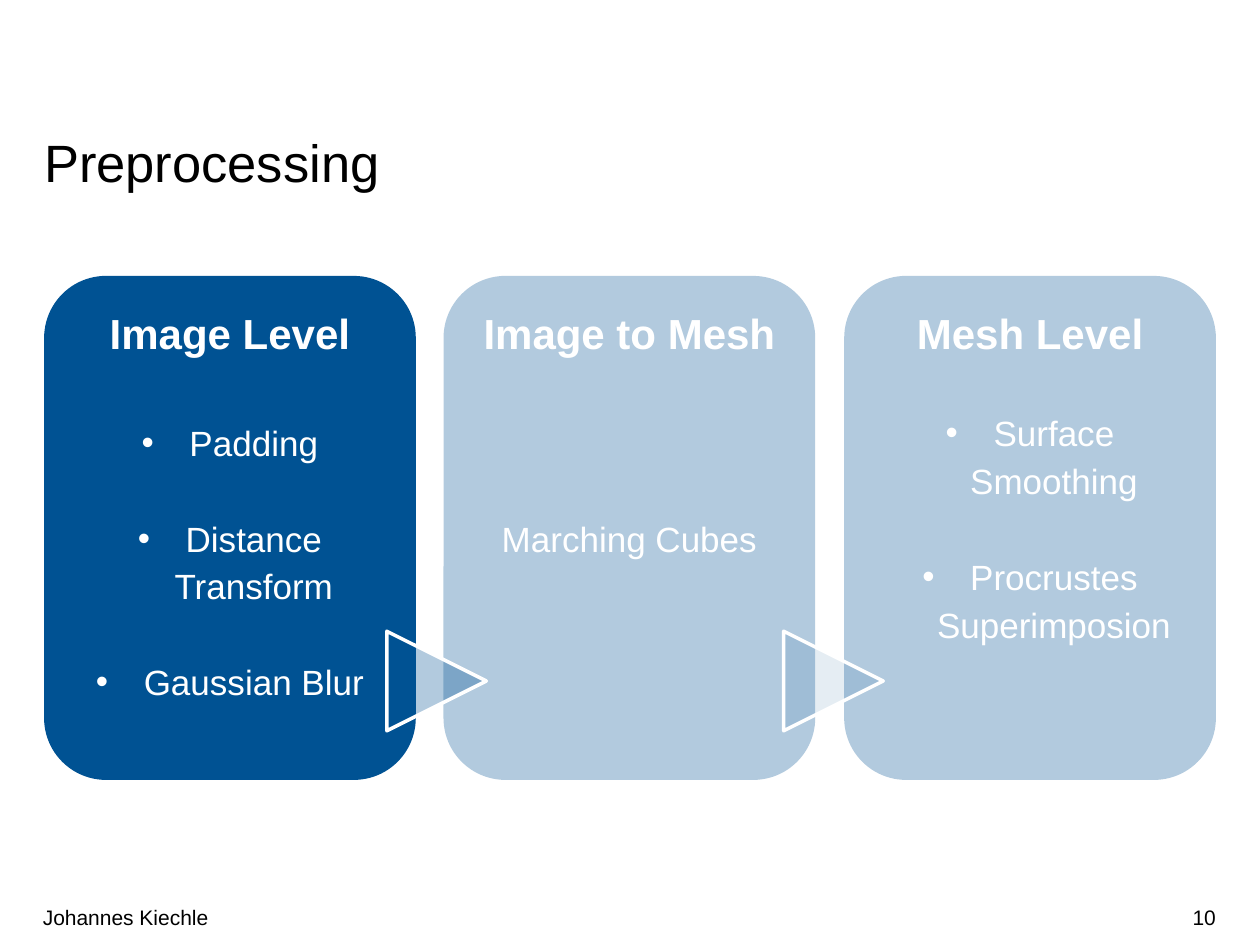
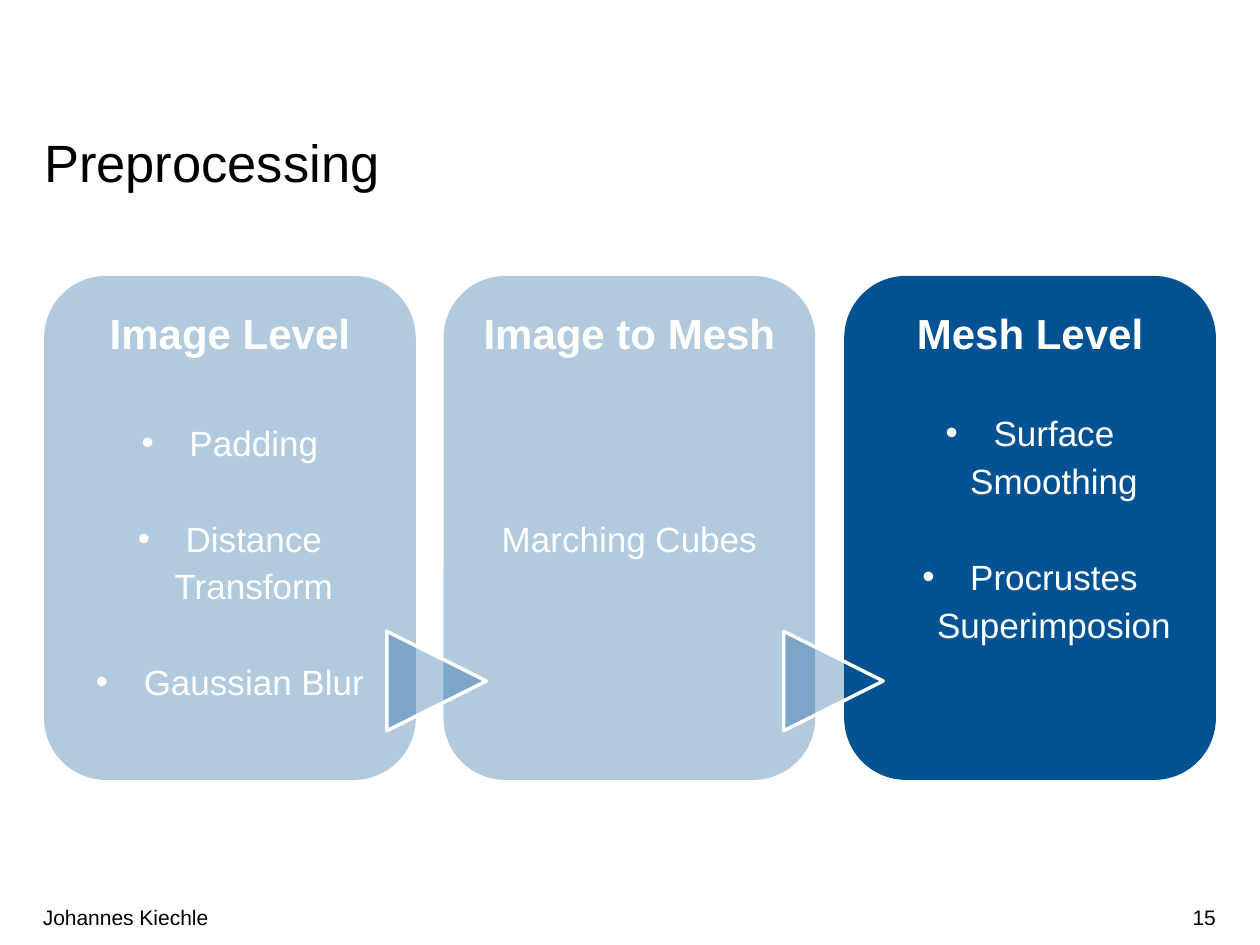
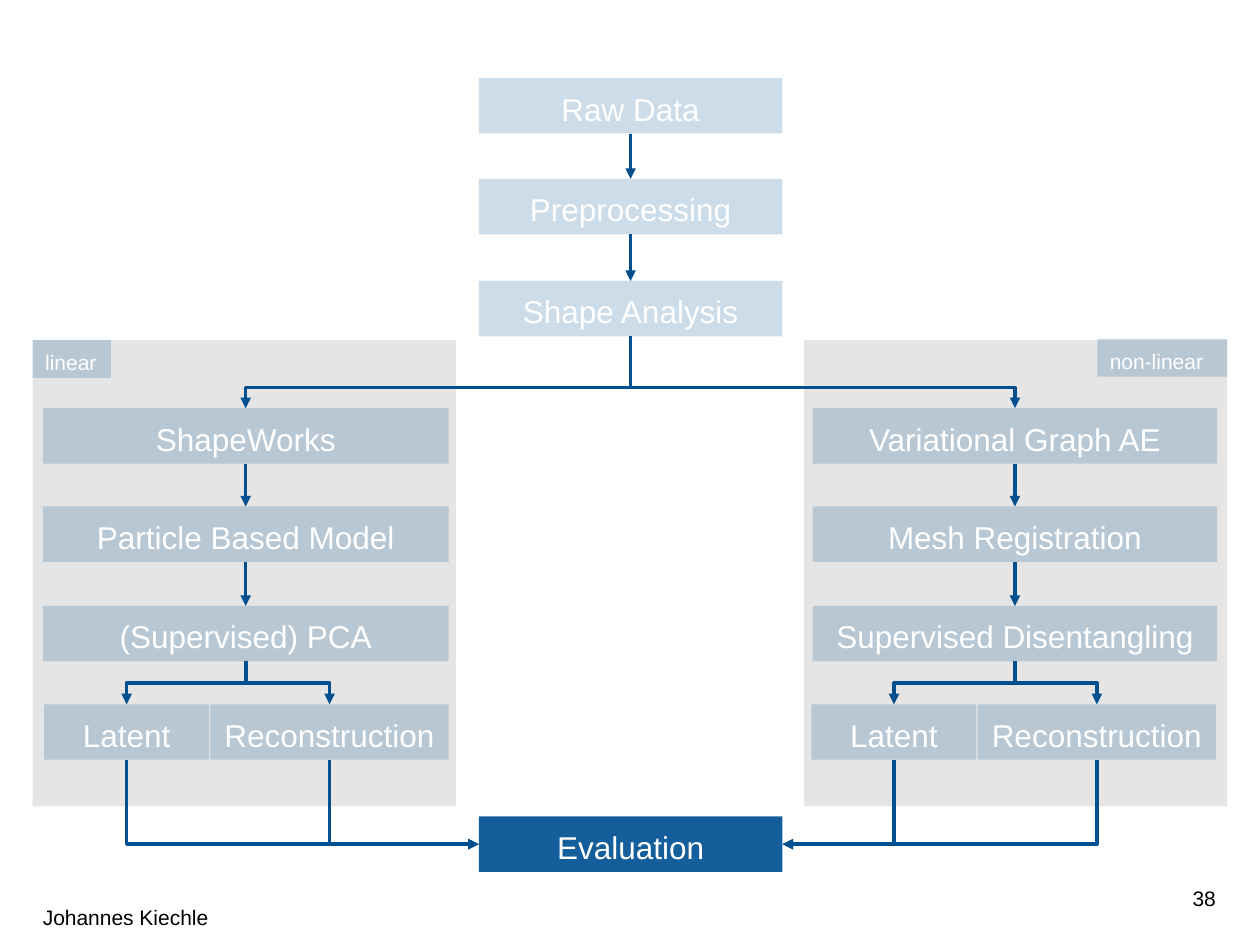
from dataclasses import dataclass

from lxml.etree import SubElement
from pptx import Presentation
from pptx.dml.color import RGBColor
from pptx.enum.shapes import MSO_CONNECTOR as Connector, MSO_SHAPE as Preset
from pptx.enum.text import MSO_ANCHOR as Anchor, PP_ALIGN as Align
from pptx.oxml.ns import qn
from pptx.util import Emu, Pt

EMU_PER_PX = 9144
FONT = "Arial"
BLUE, ARROW_BLUE, GREY = "005293", "005090", "808080"
WHITE, BLACK = "FFFFFF", "000000"
LINE_SPACING = 1.14
BULLET_INDENT = 38
TOP, LEFT, BOTTOM, RIGHT = 0, 1, 2, 3
FADED, CURRENT = 30, 100


@dataclass(frozen=True)
class Rect:
    left: int
    top: int
    width: int
    height: int


@dataclass(frozen=True)
class Card:
    heading: str
    items: tuple[str, ...]
    first_gap: float
    bulleted: bool = True


@dataclass(frozen=True)
class Branch:
    steps: tuple[str, ...]
    panel: Rect
    left: int
    width: int
    outputs_left: int
    label: str
    label_rect: Rect
    evaluation_site: int


CARDS = (
    Card("Image Level", ("Padding", "Distance Transform", "Gaussian Blur"), 33),
    Card("Image to Mesh", ("Marching Cubes",), 87.7, bulleted=False),
    Card("Mesh Level", ("Surface Smoothing", "Procrustes Superimposion"), 27.4),
)
ITEM_GAP = 27.4

MAIN_STEPS = ("Raw Data", "Preprocessing", "Shape Analysis")
BRANCHES = (
    Branch(("ShapeWorks", "Particle Based Model", "(Supervised) PCA"),
           Rect(26, 270, 336, 370), 34, 322, 35,
           "linear", Rect(26, 270, 62, 30), LEFT),
    Branch(("Variational Graph AE", "Mesh Registration", "Supervised Disentangling"),
           Rect(638, 270, 336, 370), 645, 321, 644,
           "non-linear", Rect(871, 269, 103, 30), RIGHT),
)


def px(value: int) -> Emu:
    return Emu(value * EMU_PER_PX)


def color(value: str) -> RGBColor:
    return RGBColor.from_string(value)


def bounds(rect: Rect) -> tuple[Emu, ...]:
    return px(rect.left), px(rect.top), px(rect.width), px(rect.height)


def write(frame, text: str, *, size: int, ink: str = WHITE, bold: bool = False,
          align=Align.CENTER, spacing=LINE_SPACING, before: float = 0,
          bullet: bool = False, append: bool = False) -> None:
    paragraph = frame.add_paragraph() if append else frame.paragraphs[0]
    if bullet:
        properties = paragraph._p.get_or_add_pPr()
        properties.set("marL", str(px(BULLET_INDENT)))
        properties.set("indent", str(-px(BULLET_INDENT)))
        SubElement(properties, qn("a:buFont")).set("typeface", FONT)
        SubElement(properties, qn("a:buChar")).set("char", "•")
    paragraph.alignment = align
    paragraph.line_spacing = spacing
    if before:
        paragraph.space_before = Pt(before)
    run = paragraph.add_run()
    run.text = text
    run.font.name = FONT
    run.font.size = Pt(size)
    run.font.bold = bold
    run.font.color.rgb = color(ink)


def add_text(slide, rect: Rect, text: str, *, margin: int = 0,
             anchor=Anchor.TOP, **text_format) -> None:
    frame = slide.shapes.add_textbox(*bounds(rect)).text_frame
    frame.word_wrap = True
    frame.vertical_anchor = anchor
    frame.margin_left = frame.margin_right = 0
    frame.margin_top = frame.margin_bottom = px(margin)
    write(frame, text, ink=BLACK, **text_format)


def add_filled(slide, preset, rect: Rect, fill: str, opacity: int):
    shape = slide.shapes.add_shape(preset, *bounds(rect))
    shape.shadow.inherit = False
    shape.fill.solid()
    shape.fill.fore_color.rgb = color(fill)
    if opacity < 100:
        srgb = shape._element.spPr.find(f"{qn('a:solidFill')}/{qn('a:srgbClr')}")
        SubElement(srgb, qn("a:alpha")).set("val", str(opacity * 1000))
    shape.line.fill.background()
    shape.text_frame.word_wrap = True
    shape.text_frame.vertical_anchor = Anchor.TOP
    return shape


def add_box(slide, rect: Rect, text: str, *, opacity: int = 20,
            size: int = 18, align=Align.CENTER):
    shape = add_filled(slide, Preset.RECTANGLE, rect, BLUE, opacity)
    write(shape.text_frame, text, size=size, align=align)
    return shape


def site_point(shape, site: int) -> tuple[int, int]:
    middle_x = shape.left + shape.width // 2
    middle_y = shape.top + shape.height // 2
    return {
        TOP: (middle_x, shape.top),
        LEFT: (shape.left, middle_y),
        BOTTOM: (middle_x, shape.top + shape.height),
        RIGHT: (shape.left + shape.width, middle_y),
    }[site]


def add_arrow(slide, source, target, *, site: int = TOP, kind=Connector.STRAIGHT):
    connector = slide.shapes.add_connector(
        kind, *site_point(source, BOTTOM), *site_point(target, site))
    connector.begin_connect(source, BOTTOM)
    connector.end_connect(target, site)
    connector.line.color.rgb = color(ARROW_BLUE)
    connector.line.width = Pt(2)
    SubElement(connector.line._get_or_add_ln(), qn("a:tailEnd")).set("type", "triangle")
    SubElement(connector._element.spPr, qn("a:effectLst"))
    return connector


def add_elbow(slide, source, target, *, site: int = TOP, bend: int = 50) -> None:
    connector = add_arrow(slide, source, target, site=site, kind=Connector.ELBOW)
    start_x, start_y = site_point(source, BOTTOM)
    end_x, end_y = site_point(target, site)
    along, across = end_y - start_y, abs(end_x - start_x)
    connector.left = Emu((start_x + end_x - along) // 2)
    connector.top = Emu((start_y + end_y - across) // 2)
    connector.width, connector.height = Emu(along), Emu(across)

    properties = connector._element.spPr
    transform = properties.find(qn("a:xfrm"))
    rightward = end_x > start_x
    transform.set("rot", str((270 if rightward else 90) * 60000))
    transform.set("flipH", str(int(rightward)))
    geometry = properties.find(qn("a:prstGeom"))
    if site == TOP:
        guide = SubElement(geometry.find(qn("a:avLst")), qn("a:gd"))
        guide.set("name", "adj1")
        guide.set("fmla", f"val {bend * 1000}")
    else:
        geometry.set("prst", "bentConnector2")


def add_slide(presentation):
    return presentation.slides.add_slide(presentation.slide_layouts[6])


def add_footer(slide, number: int, number_top: int = 708) -> None:
    add_text(slide, Rect(741, number_top, 224, 40), str(number), margin=5,
             anchor=Anchor.MIDDLE, size=12, align=Align.RIGHT, spacing=1.0)
    add_text(slide, Rect(34, 708, 707, 40), "Johannes Kiechle", margin=5,
             anchor=Anchor.MIDDLE, size=12, align=Align.LEFT, spacing=1.0)


def add_card(slide, card: Card, left: int, opacity: int) -> None:
    shape = add_filled(slide, Preset.ROUNDED_RECTANGLE,
                       Rect(left, 219, 295, 400), BLUE, opacity)
    frame = shape.text_frame
    write(frame, card.heading, size=24, bold=True)
    for index, item in enumerate(card.items):
        write(frame, item, size=20, bullet=card.bulleted, append=True,
              before=ITEM_GAP if index else card.first_gap)


def build_preprocessing(presentation, number: int, current: int,
                        triangle_opacities: tuple[int, ...]) -> None:
    slide = add_slide(presentation)
    add_footer(slide, number)
    add_text(slide, Rect(35, 109, 931, 45), "Preprocessing", size=30,
             align=Align.LEFT, spacing=Pt(32))
    for index, card in enumerate(CARDS):
        opacity = CURRENT if index == current else FADED
        add_card(slide, card, 35 + index * 635 // 2, opacity)
    for index, opacity in enumerate(triangle_opacities):
        triangle = add_filled(slide, Preset.ISOSCELES_TRIANGLE,
                              Rect(307 + index * 315, 501, 79, 79), BLUE, opacity)
        triangle.rotation = 90
        triangle.line.color.rgb = color(WHITE)
        triangle.line.width = Pt(2)


def add_column(slide, steps: tuple[str, ...], left: int, top: int,
               width: int, double_step: int) -> list:
    boxes = [add_box(slide, Rect(left, top + index * double_step // 2, width, 44), step)
             for index, step in enumerate(steps)]
    for source, target in zip(boxes, boxes[1:]):
        add_arrow(slide, source, target)
    return boxes


def build_pipeline(presentation, number: int) -> None:
    slide = add_slide(presentation)
    for branch in BRANCHES:
        add_filled(slide, Preset.RECTANGLE, branch.panel, GREY, 20)
    add_footer(slide, number, number_top=693)
    analysis = add_column(slide, MAIN_STEPS, 380, 62, 241, 161)[-1]
    evaluation = add_box(slide, Rect(380, 648, 241, 44), "Evaluation", opacity=92)
    for branch in BRANCHES:
        steps = add_column(slide, branch.steps, branch.left, 324, branch.width, 157)
        add_elbow(slide, analysis, steps[0], bend=71)
        outputs = (
            add_box(slide, Rect(branch.outputs_left, 559, 131, 44), "Latent"),
            add_box(slide, Rect(branch.outputs_left + 132, 559, 189, 44), "Reconstruction"),
        )
        for output in outputs:
            add_elbow(slide, steps[-1], output)
            add_elbow(slide, output, evaluation, site=branch.evaluation_site)
        add_box(slide, branch.label_rect, branch.label, size=12, align=Align.LEFT)


def main() -> None:
    presentation = Presentation()
    presentation.slide_width, presentation.slide_height = px(1000), px(750)
    build_preprocessing(presentation, 10, current=0, triangle_opacities=(30, 10))
    build_preprocessing(presentation, 15, current=2, triangle_opacities=(30, 30))
    build_pipeline(presentation, 38)
    presentation.save("out.pptx")


if __name__ == "__main__":
    main()
